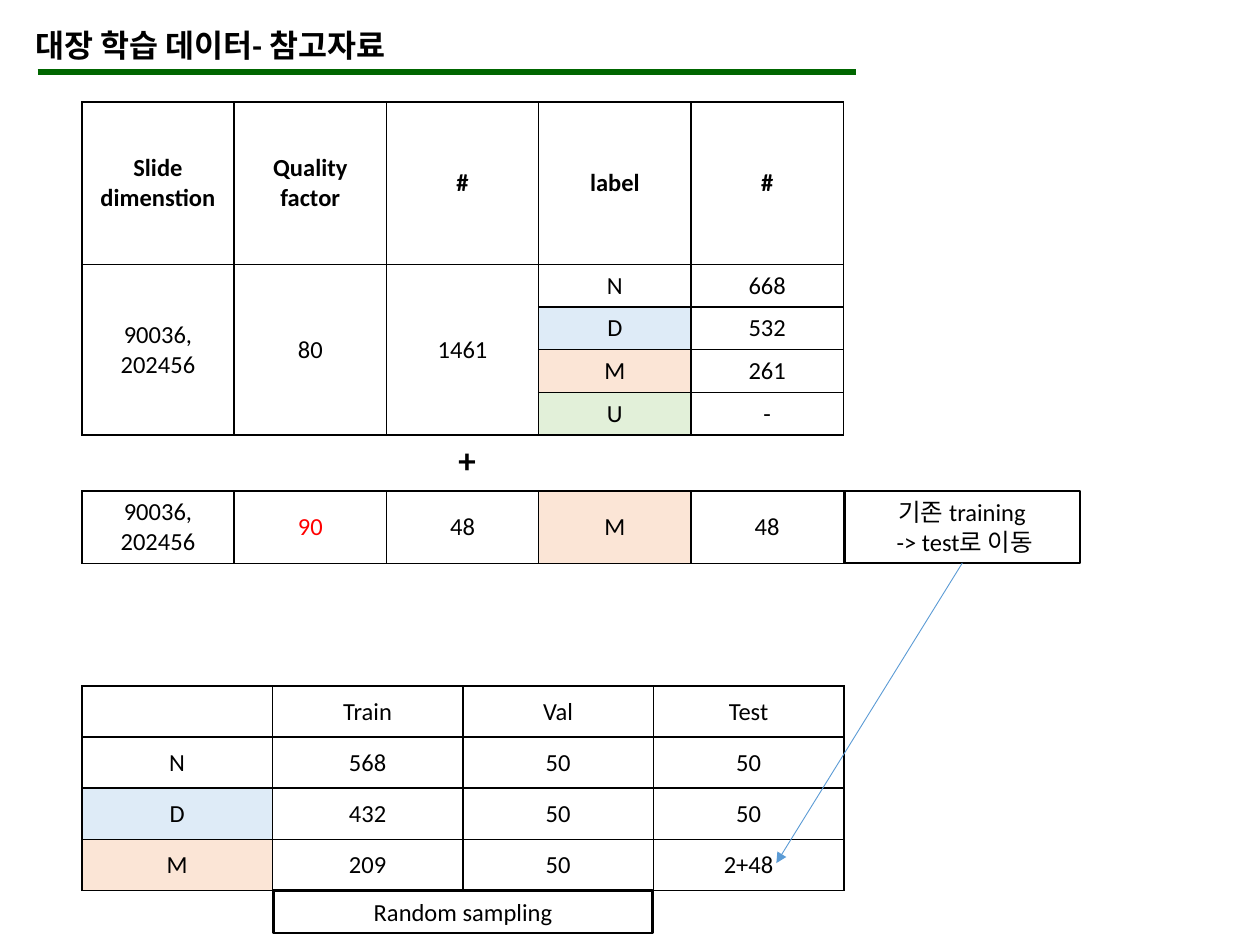
from lxml import etree
from pptx import Presentation
from pptx.dml.color import RGBColor
from pptx.enum.shapes import MSO_CONNECTOR, MSO_SHAPE
from pptx.enum.text import MSO_ANCHOR, PP_ALIGN
from pptx.oxml.ns import qn
from pptx.util import Cm, Pt

BLACK, WHITE, RED = "000000", "FFFFFF", "FF0000"
LABEL_FILLS = {"D": "DEEBF7", "M": "FBE5D6", "U": "E2F0D9"}
TABLE_LEFT = 1.65


def color(value):
    """Turn a hex string into a colour."""
    return RGBColor.from_string(value)


def write(frame, text, size=14, bold=False, align=PP_ALIGN.CENTER, ink=BLACK):
    """Fill a text frame with uniformly styled paragraphs."""
    frame.text = text
    frame.word_wrap = True
    for paragraph in frame.paragraphs:
        paragraph.alignment = align
        for run in paragraph.runs:
            run.font.name = "Calibri"
            run.font.size = Pt(size)
            run.font.bold = bold
            run.font.color.rgb = color(ink)


prs = Presentation()
prs.slide_width, prs.slide_height = Cm(25.4), Cm(19.05)
slide = prs.slides.add_slide(prs.slide_layouts[6])
shapes = slide.shapes

# Tables: top, column width, row heights, rows, bold first row
slide_counts = [
    ["Slide dimenstion", "Quality factor", "#", "label", "#"],
    ["90036,\n202456", "80", "1461", "N", "668"],
    ["", "", "", "D", "532"],
    ["", "", "", "M", "261"],
    ["", "", "", "U", "-"],
]
added_counts = [["90036,\n202456", "90", "48", "M", "48"]]
split_counts = [
    ["", "Train", "Val", "Test"],
    ["N", "568", "50", "50"],
    ["D", "432", "50", "50"],
    ["M", "209", "50", "2+48"],
]
tables = [
    (2.06, 3.07, [3.27] + [0.86] * 4, slide_counts, True),
    (9.9, 3.07, [1.45], added_counts, False),
    (13.83, 3.84, [1.03] * 4, split_counts, False),
]
for top, column_width, heights, rows, has_header in tables:
    columns = len(rows[0])
    table = shapes.add_table(
        len(rows), columns, Cm(TABLE_LEFT), Cm(top),
        Cm(column_width * columns), Cm(sum(heights))).table
    table.first_row = table.horz_banding = False
    for column in table.columns:
        column.width = Cm(column_width)
    for r, row in enumerate(rows):
        table.rows[r].height = Cm(heights[r])
        for c, text in enumerate(row):
            cell = table.cell(r, c)
            cell.vertical_anchor = MSO_ANCHOR.MIDDLE
            write(cell.text_frame, text, bold=has_header and r == 0,
                  ink=RED if text == "90" else BLACK)
            properties = cell._tc.get_or_add_tcPr()
            for side in ("a:lnL", "a:lnR", "a:lnT", "a:lnB"):
                border = etree.SubElement(properties, qn(side), w=str(Pt(1)))
                fill = etree.SubElement(border, qn("a:solidFill"))
                etree.SubElement(fill, qn("a:srgbClr"), val=BLACK)
            cell.fill.solid()
            cell.fill.fore_color.rgb = color(LABEL_FILLS.get(text, WHITE))
    if rows is slide_counts:
        for c in range(3):
            table.cell(1, c).merge(table.cell(4, c))

# Boxed notes
for left, top, width, height, text in [
    (17.02, 9.9, 4.75, 1.45, "기존 training\v -> test로 이동"),
    (5.51, 17.95, 7.65, 0.86, "Random sampling"),
]:
    note = shapes.add_shape(MSO_SHAPE.RECTANGLE, Cm(left), Cm(top), Cm(width), Cm(height))
    note.shadow.inherit = False
    note.fill.background()
    note.line.color.rgb = color(BLACK)
    note.line.width = Pt(1.5)
    note.text_frame.vertical_anchor = MSO_ANCHOR.TOP
    write(note.text_frame, text)

# Title and plus sign
for left, top, width, height, text, size in [
    (0.46, 0.41, 14.96, 1.02, "대장 학습 데이터- 참고자료", 18),
    (8.99, 8.71, 2.77, 1.12, "+", 20),
]:
    box = shapes.add_textbox(Cm(left), Cm(top), Cm(width), Cm(height))
    write(box.text_frame, text, size, True, PP_ALIGN.LEFT)

# Arrow to the test cell and title rule
for x1, y1, x2, y2, ink, weight, has_arrow in [
    (19.4, 11.35, 15.65, 17.4, "5B9BD5", 0.5, True),
    (0.76, 1.45, 17.25, 1.45, "006600", 3, False),
]:
    line = shapes.add_connector(MSO_CONNECTOR.STRAIGHT, Cm(x1), Cm(y1), Cm(x2), Cm(y2))
    line.line.color.rgb = color(ink)
    line.line.width = Pt(weight)
    if has_arrow:
        etree.SubElement(line.line._get_or_add_ln(), qn("a:tailEnd"), type="triangle")
    etree.SubElement(line._element.spPr, qn("a:effectLst"))

prs.save("out.pptx")
